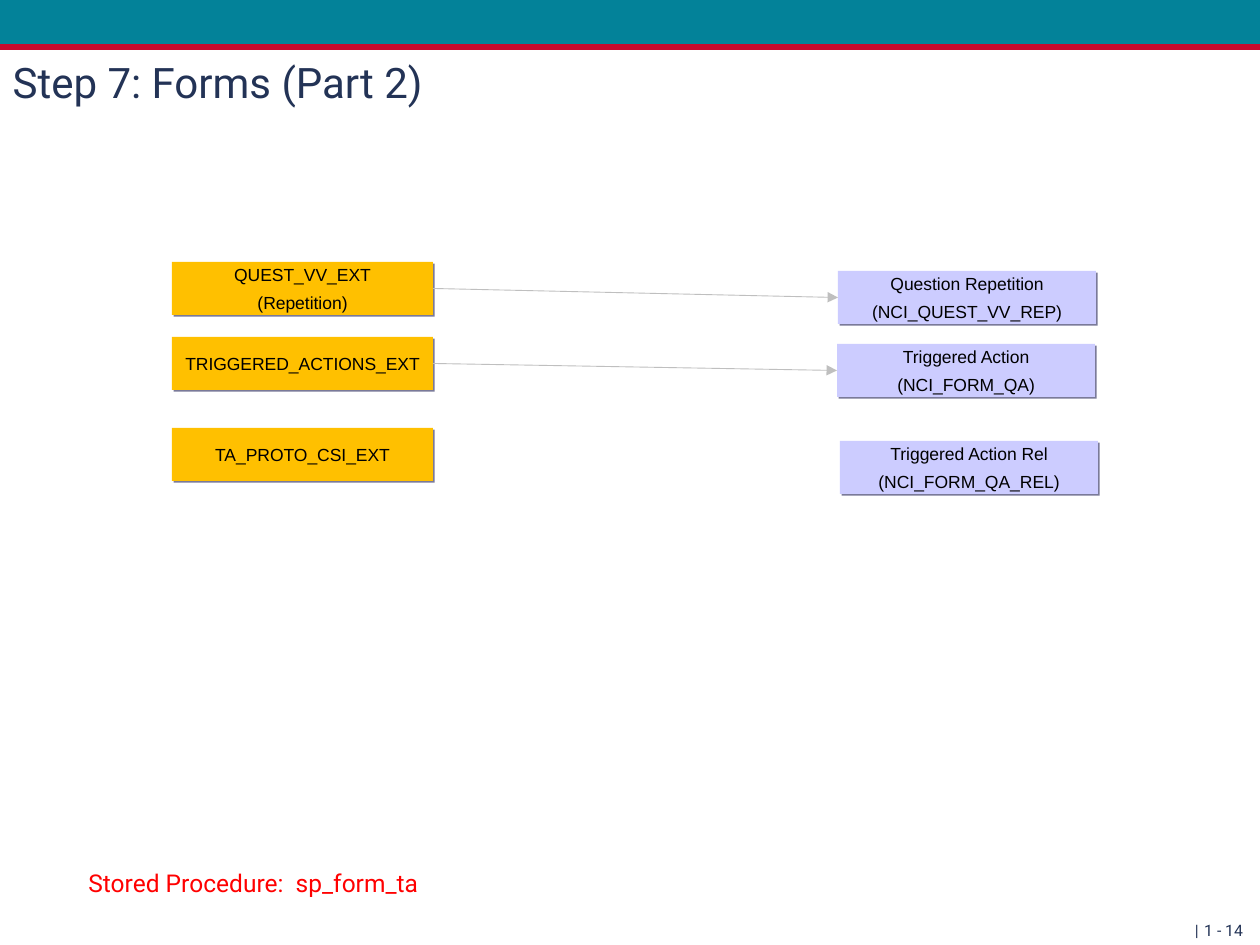
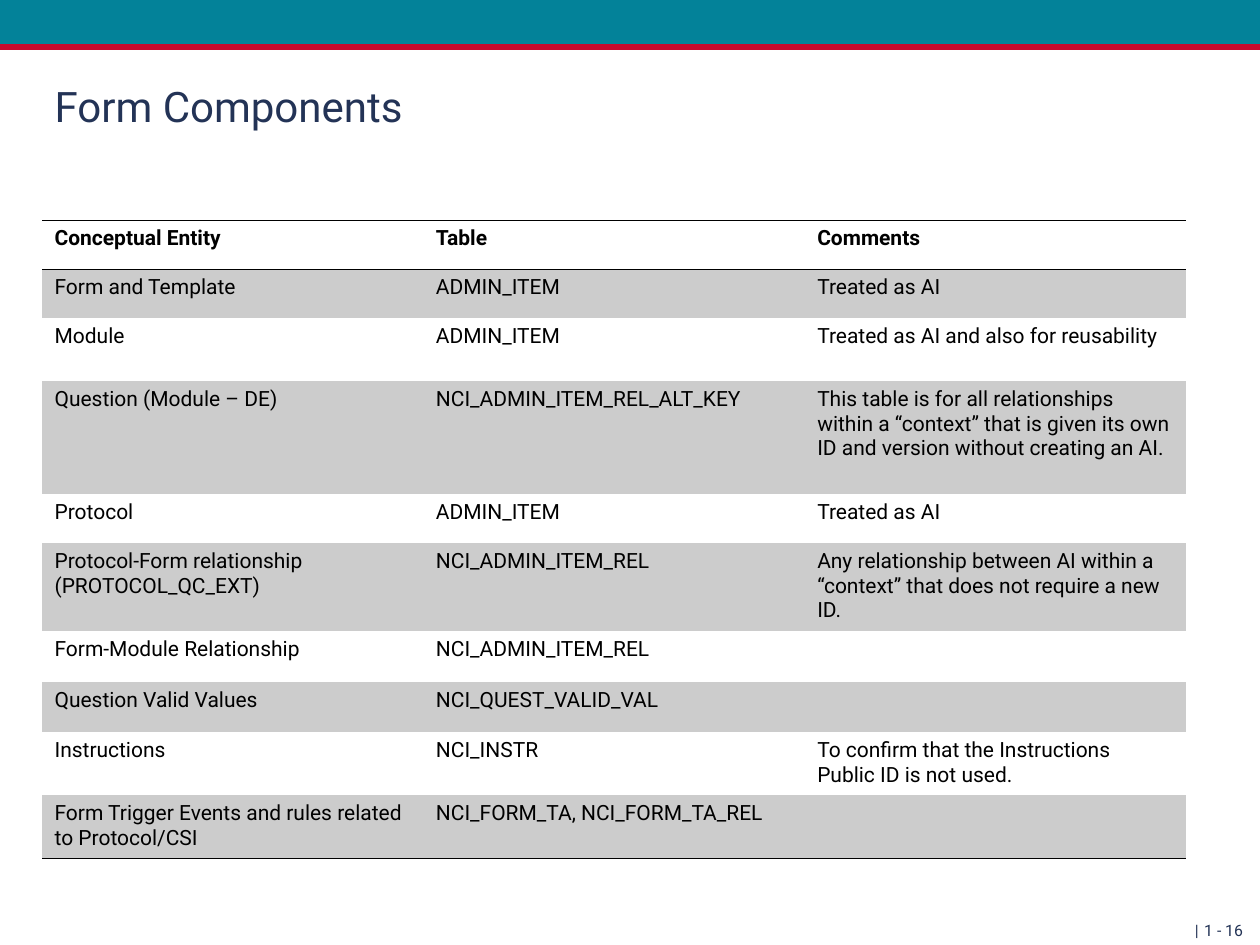
from lxml import etree
from pptx import Presentation
from pptx.dml.color import RGBColor
from pptx.enum import shapes, text
from pptx.oxml import ns, parse_xml
from pptx.util import Emu, Pt

PIXELS_PER_INCH = 126
SLIDE_WIDTH, SLIDE_HEIGHT = 1260, 945

TEAL, RED, NAVY = "038299", "C6092D", "233356"
AMBER, LAVENDER, SHADOW = "FFC000", "CCCCFF", "7A7A99"
BLACK, BRIGHT_RED, ARROW_GREY, ROW_GREY = "000000", "FF0000", "BFBFBF", "CCCCCC"
HEADING_FONT, BOX_FONT = "Roboto", "Arial"
NO_TABLE_STYLE = "{2D5ABB26-0587-4C30-8999-92F81FD0307C}"

SOURCE_LEFT, SOURCE_WIDTH, TARGET_WIDTH, BOX_HEIGHT = 172, 261, 258, 53

# source lines, source top, target lines, target left, target top, has arrow
MAPPINGS = [
    (["QUEST_VV_EXT", "(Repetition)"], 262,
     ["Question Repetition", "(NCI_QUEST_VV_REP)"], 838, 271, True),
    (["TRIGGERED_ACTIONS_EXT"], 337,
     ["Triggered Action", "(NCI_FORM_QA)"], 837, 344, True),
    (["TA_PROTO_CSI_EXT"], 428,
     ["Triggered Action Rel", "(NCI_FORM_QA_REL)"], 840, 441, False),
]
PROCEDURE = "Stored Procedure:  sp_form_ta"

# row height, then one list of paragraphs per cell
COMPONENT_ROWS = [
    (49, ["Conceptual Entity"], ["Table"], ["Comments"]),
    (49, ["Form and Template"], ["ADMIN_ITEM"], ["Treated as AI"]),
    (63, ["Module"], ["ADMIN_ITEM"], ["Treated as AI and also for reusability"]),
    (113, ["Question (Module – DE)"], ["NCI_ADMIN_ITEM_REL_ALT_KEY"],
     ["This table is for all relationships within a “context” that is given "
      "its own ID and version without creating an AI."]),
    (49, ["Protocol"], ["ADMIN_ITEM"], ["Treated as AI"]),
    (88, ["Protocol-Form relationship", "(PROTOCOL_QC_EXT)"], ["NCI_ADMIN_ITEM_REL"],
     ["Any relationship between AI within a “context” that does not require a new ID."]),
    (49, ["Form-Module Relationship"], ["NCI_ADMIN_ITEM_REL"], []),
    (49, ["Question Valid Values"], ["NCI_QUEST_VALID_VAL"], []),
    (63, ["Instructions"], ["NCI_INSTR"],
     ["To confirm that the Instructions Public ID is not used."]),
    (63, ["Form Trigger Events and rules related to Protocol/CSI"],
     ["NCI_FORM_TA, NCI_FORM_TA_REL"], []),
]
TABLE_LEFT, TABLE_TOP, TABLE_WIDTH = 42, 220, 1144


def px(length):
    return Emu(round(length * 914400 / PIXELS_PER_INCH))


def rgb(value):
    return RGBColor.from_string(value)


def write(frame, lines, size, color, font=HEADING_FONT, bold=False,
          align=text.PP_ALIGN.LEFT, gap=0, spacing=None):
    """Fill a text frame, one paragraph per line."""
    for index, line in enumerate(lines):
        paragraph = frame.add_paragraph() if index else frame.paragraphs[0]
        paragraph.alignment = align
        paragraph.space_before = Pt(gap if index else 0)
        if spacing:
            paragraph.line_spacing = spacing
        run = paragraph.add_run()
        run.text = line
        run.font.name, run.font.size, run.font.bold = font, Pt(size), bold
        run.font.color.rgb = rgb(color)


def add_box(slide, left, top, width, height, fill):
    box = slide.shapes.add_shape(shapes.MSO_SHAPE.RECTANGLE,
                                 px(left), px(top), px(width), px(height))
    box.shadow.inherit = False
    box.fill.solid()
    box.fill.fore_color.rgb = rgb(fill)
    box.line.fill.background()
    return box


def add_label(slide, left, top, width, height, line, size, color, wrap=True, **style):
    label = slide.shapes.add_textbox(px(left), px(top), px(width), px(height))
    label.text_frame.word_wrap = wrap
    write(label.text_frame, [line], size, color, **style)
    return label


def add_slide(presentation, title, title_left, number, title_top=62,
              anchor=text.MSO_ANCHOR.MIDDLE):
    """Add a title-only slide with its bands, title and footer."""
    slide = presentation.slides.add_slide(presentation.slide_layouts[5])
    add_box(slide, 0, 0, SLIDE_WIDTH, 50, TEAL)
    add_box(slide, 0, 44, SLIDE_WIDTH, 6, RED)
    footer = {"size": 9, "color": NAVY, "align": text.PP_ALIGN.RIGHT, "spacing": 1.2}
    page = add_label(slide, 444, 911, 816, 34, number, **footer)
    page.text_frame.margin_right = px(17)
    add_label(slide, 964, 911, 247, 34, "|", **footer)

    heading = slide.shapes.title
    heading.left, heading.top = px(title_left), px(title_top)
    heading.width, heading.height = px(1134), px(87)
    frame = heading.text_frame
    frame.auto_size = text.MSO_AUTO_SIZE.NONE
    frame.vertical_anchor = anchor
    frame.margin_top = frame.margin_bottom = 0
    write(frame, [title], 24, NAVY)
    return slide


def add_entity(slide, lines, left, top, width, fill):
    """Add a labelled box with a hard offset shadow."""
    box = add_box(slide, left, top, width, BOX_HEIGHT, fill)
    effects = box._element.spPr.find(ns.qn("a:effectLst"))
    effects.append(parse_xml(
        f'<a:outerShdw {ns.nsdecls("a")} dist="17960" dir="2700000" algn="ctr" '
        f'rotWithShape="0"><a:srgbClr val="{SHADOW}"/></a:outerShdw>'))
    frame = box.text_frame
    frame.word_wrap = False
    frame.vertical_anchor = text.MSO_ANCHOR.MIDDLE
    write(frame, lines, 10, BLACK, font=BOX_FONT, align=text.PP_ALIGN.CENTER, gap=3.7)
    return box


def add_arrow(slide, source, target):
    arrow = slide.shapes.add_connector(shapes.MSO_CONNECTOR.STRAIGHT, 0, 0, 0, 0)
    arrow.begin_connect(source, 3)
    arrow.end_connect(target, 1)
    arrow.line.color.rgb = rgb(ARROW_GREY)
    arrow.line.width = Pt(0.5)
    etree.SubElement(arrow.line._get_or_add_ln(), ns.qn("a:tailEnd"), type="triangle")
    etree.SubElement(arrow._element.spPr, ns.qn("a:effectLst"))


def set_borders(cell, sides):
    """Rule the named sides of a cell ("T", "B") and leave the others open."""
    properties = cell._tc.get_or_add_tcPr()
    for index, side in enumerate("LRTB"):
        paint = (f'<a:solidFill><a:srgbClr val="{BLACK}"/></a:solidFill>'
                 if side in sides else "<a:noFill/>")
        properties.insert(index, parse_xml(
            f'<a:ln{side} {ns.nsdecls("a")} w="{Pt(0.45)}">{paint}</a:ln{side}>'))


def add_components(slide):
    heights = [row[0] for row in COMPONENT_ROWS]
    last = len(heights) - 1
    table = slide.shapes.add_table(len(heights), 3, px(TABLE_LEFT), px(TABLE_TOP),
                                   px(TABLE_WIDTH), px(sum(heights))).table
    table.first_row = table.horz_banding = False
    table._tbl.tblPr.find(ns.qn("a:tableStyleId")).text = NO_TABLE_STYLE
    for column in table.columns:
        column.width = px(TABLE_WIDTH / 3)
    for index, (height, *cells) in enumerate(COMPONENT_ROWS):
        table.rows[index].height = px(height)
        sides = {0: "TB", 1: "T", last: "B"}.get(index, "")
        for cell, lines in zip(table.rows[index].cells, cells):
            if index % 2:
                cell.fill.solid()
                cell.fill.fore_color.rgb = rgb(ROW_GREY)
            else:
                cell.fill.background()
            set_borders(cell, sides)
            write(cell.text_frame, lines, 12, BLACK, bold=index == 0)


def main():
    presentation = Presentation()
    presentation.slide_width, presentation.slide_height = px(SLIDE_WIDTH), px(SLIDE_HEIGHT)

    forms = add_slide(presentation, "Step 7: Forms (Part 2)", 0, "1 - 14",
                      title_top=56, anchor=text.MSO_ANCHOR.TOP)
    add_label(forms, 76, 862, 374, 43, PROCEDURE, 14, BRIGHT_RED, wrap=False)
    for source_lines, source_top, target_lines, left, top, has_arrow in MAPPINGS:
        source = add_entity(forms, source_lines, SOURCE_LEFT, source_top, SOURCE_WIDTH, AMBER)
        target = add_entity(forms, target_lines, left, top, TARGET_WIDTH, LAVENDER)
        if has_arrow:
            add_arrow(forms, source, target)

    components = add_slide(presentation, "Form Components", 42, "1 - 16")
    add_components(components)
    presentation.save("out.pptx")


if __name__ == "__main__":
    main()
